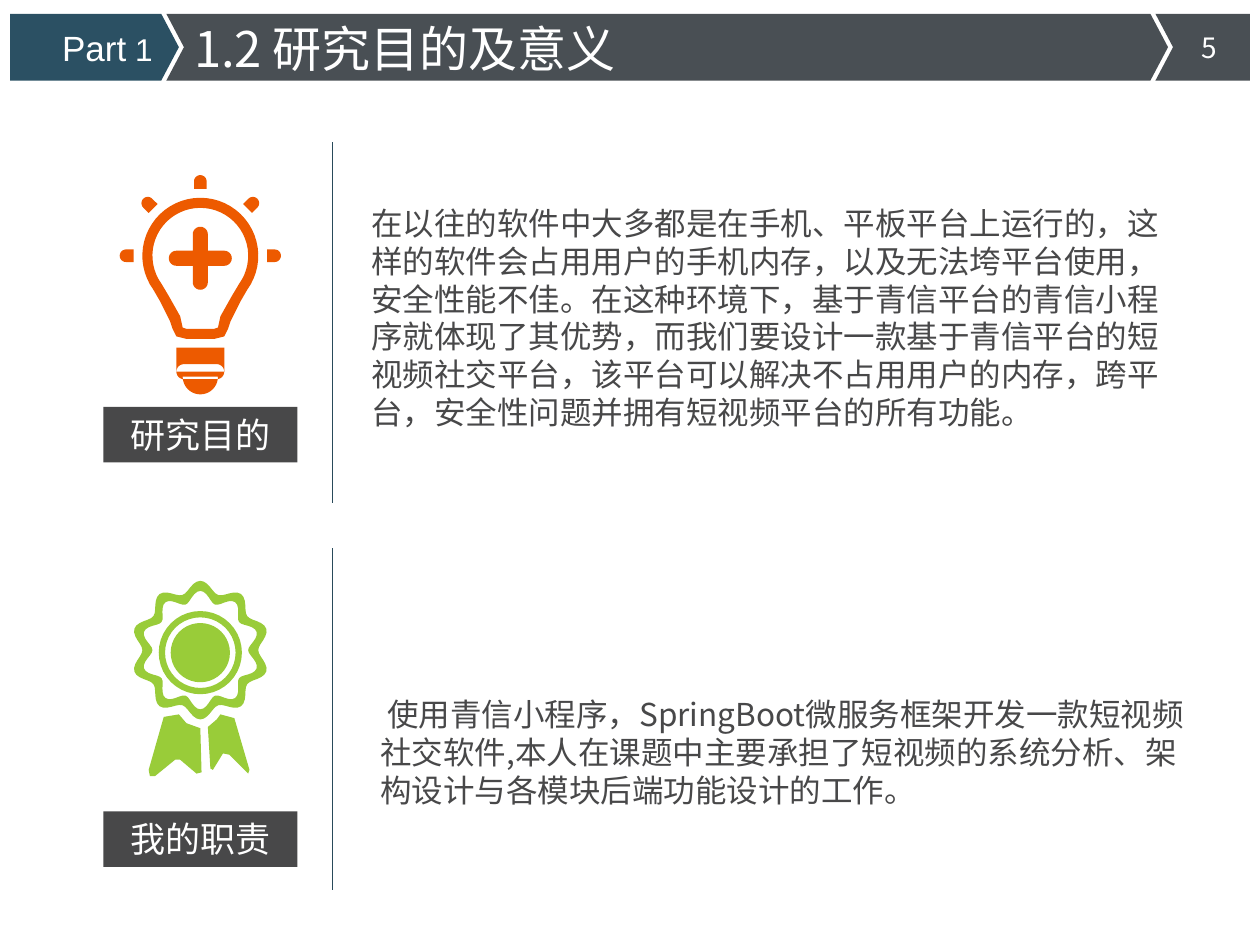
from math import cos, radians, sin

from lxml import etree
from pptx import Presentation
from pptx.dml.color import RGBColor
from pptx.enum.shapes import MSO_CONNECTOR, MSO_SHAPE
from pptx.enum.text import MSO_ANCHOR, PP_ALIGN
from pptx.oxml.ns import qn
from pptx.util import Inches, Pt

LEFT, CENTER, RIGHT = PP_ALIGN.LEFT, PP_ALIGN.CENTER, PP_ALIGN.RIGHT
TOP = MSO_ANCHOR.TOP
RECTANGLE = MSO_SHAPE.RECTANGLE
STRAIGHT = MSO_CONNECTOR.STRAIGHT

WHITE = RGBColor(0xFF, 0xFF, 0xFF)
TEAL = RGBColor(0x2B, 0x50, 0x63)
SLATE = RGBColor(0x49, 0x4F, 0x54)
CHARCOAL = RGBColor(0x48, 0x48, 0x49)
RULE = RGBColor(0x29, 0x4A, 0x5A)
ORANGE = RGBColor(0xED, 0x5A, 0x00)
GREEN = RGBColor(0x99, 0xCC, 0x39)

SANS = "Noto Sans CJK SC"
LINE_HEIGHT = 1.2

PURPOSE = (
    "在以往的软件中大多都是在手机、平板平台上运行的，这样的软件会占用用户的手机内存，"
    "以及无法垮平台使用，安全性能不佳。在这种环境下，基于青信平台的青信小程序就体现了其优势，"
    "而我们要设计一款基于青信平台的短视频社交平台，该平台可以解决不占用用户的内存，跨平台，"
    "安全性问题并拥有短视频平台的所有功能。"
)
DUTIES = (
    " 使用青信小程序，SpringBoot微服务框架开发一款短视频社交软件,本人在课题中主要承担了"
    "短视频的系统分析、架构设计与各模块后端功能设计的工作。"
)


def place(shape, left, top, width, height):
    shape.left, shape.top = Inches(left), Inches(top)
    shape.width, shape.height = Inches(width), Inches(height)


def write(shape, text, size, color=WHITE, align=LEFT, font=SANS, wrap=True):
    frame = shape.text_frame
    frame.text = text
    frame.word_wrap = wrap
    frame.vertical_anchor = TOP
    para = frame.paragraphs[0]
    para.alignment = align
    para.line_spacing = Pt(size * LINE_HEIGHT)
    span = para.runs[0]
    span.font.size = Pt(size)
    span.font.color.rgb = color
    span.font.name = font
    east_asian = etree.SubElement(span.font._element, qn("a:ea"))
    east_asian.set("typeface", font)
    return para


def add_text(page, box, text, size, **style):
    shape = page.shapes.add_textbox(*map(Inches, box))
    return write(shape, text, size, **style)


def paint(shape, color):
    shape.shadow.inherit = False
    shape.fill.solid()
    shape.fill.fore_color.rgb = color
    shape.line.fill.background()


def add_outline(page, contours, color):
    scaled = [[(Inches(x), Inches(y)) for x, y in points] for points in contours]
    builder = page.shapes.build_freeform(*scaled[0][0])
    for index, points in enumerate(scaled):
        if index:
            builder.move_to(*points[0])
        builder.add_line_segments(points[1:], close=True)
    paint(builder.convert_to_shape(), color)


def arc(x, y, radius, start=0, end=360, steps=40):
    angles = [radians(start + (end - start) * i / steps) for i in range(steps + 1)]
    return [(x + radius * cos(a), y + radius * sin(a)) for a in angles]


def turn(points, x, y, degrees):
    c, s = cos(radians(degrees)), sin(radians(degrees))
    return [(x + px * c - py * s, y + px * s + py * c) for px, py in points]


def glass(x, y, radius, tail):
    right = [(x + dx, y + dy) for dx, dy in tail]
    left = [(x - dx, y + dy) for dx, dy in reversed(tail)]
    return arc(x, y, radius, 144, 396) + right + left


def scallop(x, y, radius, lobes=10, depth=0.045):
    points = []
    for degrees in range(0, 360, 3):
        reach = radius + depth * cos(radians(lobes * degrees))
        points.append((x + reach * sin(radians(degrees)), y - reach * cos(radians(degrees))))
    return points


def add_bulb(page, x, y):
    ray = [(0.53, -0.05)] + arc(0.59, 0, 0.05, -90, 90, 12) + [(0.53, 0.05)]
    contours = [turn(ray, x, y, degrees) for degrees in range(180, 361, 45)]

    arm = [(0.06, -0.06)] + arc(0.19, 0, 0.06, -90, 90, 12)
    contours.append([
        point for degrees in range(0, 360, 90) for point in turn(arm, x, y + 0.02, degrees)
    ])

    outer_tail = [(0.32, 0.36), (0.24, 0.52), (0.22, 0.58), (0.19, 0.64), (0.11, 0.66)]
    inner_tail = [(0.25, 0.32), (0.16, 0.48), (0.14, 0.57), (0.11, 0.58)]
    contours += [glass(x, y, 0.46, outer_tail), glass(x, y, 0.38, inner_tail)]

    half, socket_top, socket_end = 0.19, y + 0.73, y + 0.92
    contours.append([
        (x - half, socket_top), (x + half, socket_top),
        (x + half, socket_end), (x - half, socket_end),
    ])
    contours.append(
        arc(x + 0.13, socket_end, 0.06, -90, 90, 12)
        + arc(x - 0.13, socket_end, 0.06, 90, 270, 12)
    )
    contours.append(arc(x, y + 0.96, 0.14, 0, 180, 20))
    add_outline(page, contours, ORANGE)


def add_medal(page, x, y):
    contours = [scallop(x, y, radius) for radius in (0.505, 0.425)]
    contours += [arc(x, y + 0.02, radius) for radius in (0.33, 0.28, 0.235)]
    left_ribbon = [
        (-0.29, 0.53), (-0.17, 0.51), (-0.11, 0.58), (0, 0.62), (0.01, 0.97), (-0.03, 0.98),
        (-0.16, 0.87), (-0.2, 0.87), (-0.36, 1), (-0.4, 1), (-0.41, 0.95),
    ]
    right_ribbon = [
        (0.27, 0.54), (0.39, 0.95), (0.38, 0.98), (0.23, 0.83), (0.18, 0.82),
        (0.1, 0.95), (0.08, 0.94), (0.06, 0.61), (0.13, 0.55), (0.16, 0.51),
    ]
    for ribbon in (left_ribbon, right_ribbon):
        contours.append([(x + dx, y + dy) for dx, dy in ribbon])
    add_outline(page, contours, GREEN)


def add_band(page, left, right, top, height, color, notched, pointed):
    tip, middle, bottom = 0.14, top + height / 2, top + height
    points = [(left, top), (right, top)]
    if pointed:
        points.append((right + tip, middle))
    points += [(right, bottom), (left, bottom)]
    if notched:
        points.append((left + tip, middle))
    add_outline(page, [points], color)


def add_header(page, top, height):
    add_band(page, 0.08, 1.28, top, height, TEAL, False, True)
    add_band(page, 1.32, 9.13, top, height, SLATE, True, True)
    add_band(page, 9.17, 9.92, top, height, SLATE, True, False)
    title = page.shapes.title
    place(title, 1.44, top - 0.01, 3.66, 0.57)
    write(title, "1.2 研究目的及意义", 28, wrap=False)
    page.shapes._spTree.append(title._element)
    part = add_text(page, (0.15, top + 0.05, 1.16, 0.44), "Part", 20, align=RIGHT, font="Arial")
    number = part.add_run()
    number.text = " 1"
    number.font.size = Pt(18)
    number.font.name = "Arial"
    number.font.color.rgb = WHITE
    add_text(page, (9.33, top + 0.08, 0.53, 0.42), "5", 16, align=CENTER)


def add_section(page, top, bottom, label, label_top, body, body_box):
    tag = page.shapes.add_shape(
        RECTANGLE, Inches(0.82), Inches(label_top), Inches(1.54), Inches(0.44)
    )
    paint(tag, CHARCOAL)
    write(tag, label, 20, align=CENTER)
    add_text(page, body_box, body, 18, color=CHARCOAL)
    x = Inches(2.64)
    divider = page.shapes.add_connector(STRAIGHT, x, Inches(top), x, Inches(bottom))
    divider.line.color.rgb = RULE
    divider.line.width = Pt(0.75)
    etree.SubElement(divider._element.spPr, qn("a:effectLst"))


def main():
    deck = Presentation()
    deck.slide_width, deck.slide_height = Inches(10), Inches(7.5)
    page = deck.slides.add_slide(deck.slide_layouts[5])
    add_header(page, 0.11, 0.53)
    add_bulb(page, 1.59, 2.03)
    add_section(page, 1.13, 3.99, "研究目的", 3.23, PURPOSE, (2.85, 1.57, 6.67, 1.9))
    add_medal(page, 1.59, 5.16)
    add_section(page, 4.35, 7.06, "我的职责", 6.44, DUTIES, (2.92, 5.47, 6.67, 1))
    deck.save("out.pptx")


if __name__ == "__main__":
    main()
